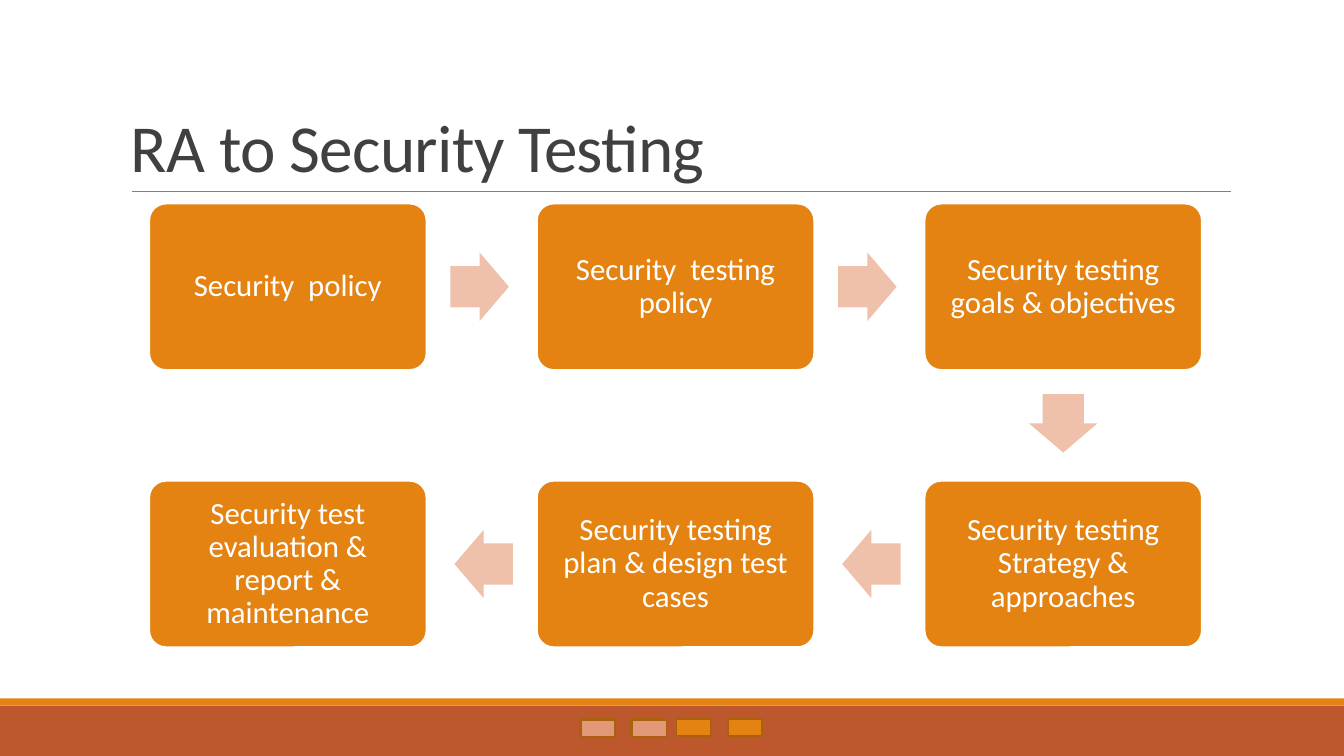
from pptx import Presentation
from pptx.dml.color import RGBColor
from pptx.enum import shapes, text
from pptx.oxml.ns import qn
from pptx.util import Inches, Pt
from lxml import etree

TITLE = "RA to Security Testing"
# step text, column, row, in the order of the flow
STEPS = [
    ("Security  policy", 0, 0),
    ("Security  testing policy", 1, 0),
    ("Security testing goals & objectives", 2, 0),
    ("Security testing Strategy & approaches", 2, 1),
    ("Security testing plan & design test cases", 1, 1),
    ("Security test evaluation & report & maintenance", 0, 1),
]
# left, top, colour name
MARKERS = [(x, 7.13, "orange") for x in (5.75, 6.26, 6.71, 7.22)]
MARKERS += [(x, 7.14, "salmon") for x in (5.76, 6.27)]

THEME = {
    "font": "Calibri", "title_size": 48, "step_size": 22,
    "orange": "E48312", "rust": "BD582C", "brown": "A9610D",
    "salmon": "E09878", "peach": "EFC1AB", "white": "FFFFFF",
    "ink": "404040", "rule": "808080",
}

STEP_W, STEP_H = 2.75, 1.65
FIRST_X, FIRST_Y = 1.48, 2.02
PITCH_X, PITCH_Y = 3.845, 2.75
ARROW_W, ARROW_H = 0.58, 0.68
ARROW_SHIFT = 0.02  # arrows sit slightly nearer the step they leave
ROTATION = {(1, 0): 0, (0, 1): 90, (-1, 0): 180}

KIND = shapes.MSO_SHAPE


def colour(name):
    return RGBColor.from_string(THEME[name])


def add_block(slide, kind, box, fill, line=None, adjustments=()):
    block = slide.shapes.add_shape(kind, *map(Inches, box))
    block.shadow.inherit = False
    block.fill.solid()
    block.fill.fore_color.rgb = colour(fill)
    if line:
        block.line.color.rgb = colour(line)
        block.line.width = Pt(1.25)
    else:
        block.line.fill.background()
    for i, value in enumerate(adjustments):
        block.adjustments[i] = value
    return block


def write(frame, words, size, ink, spacing, margin, anchor, align):
    frame_format = {"word_wrap": True, "vertical_anchor": anchor}
    for side, inset in zip(("left", "right", "top", "bottom"), margin):
        frame_format[f"margin_{side}"] = Inches(inset)
    for key, value in frame_format.items():
        setattr(frame, key, value)
    paragraph = frame.paragraphs[0]
    paragraph.alignment = align
    paragraph.line_spacing = spacing
    run = paragraph.add_run()
    run.text = words
    for key, value in {"name": THEME["font"], "size": Pt(THEME[size])}.items():
        setattr(run.font, key, value)
    run.font.color.rgb = colour(ink)
    return run


def add_frame(slide):
    """Footer bands, title rule and title."""
    add_block(slide, KIND.RECTANGLE, (0, 7, 13.33, 0.5), "rust")
    add_block(slide, KIND.RECTANGLE, (0, 6.93, 13.33, 0.07), "orange")
    rule = slide.shapes.add_connector(
        shapes.MSO_CONNECTOR.STRAIGHT, *map(Inches, (1.31, 1.9, 12.21, 1.9)))
    rule.line.color.rgb = colour("rule")
    rule.line.width = Pt(0.5)
    etree.SubElement(rule._element.spPr, qn("a:effectLst"))
    title = slide.shapes.add_textbox(*map(Inches, (1.2, 0.31, 11, 1.59)))
    run = write(title.text_frame, TITLE, "title_size", "ink", 0.85,
                (0.1, 0.1, 0.05, 0.05), text.MSO_ANCHOR.BOTTOM,
                text.PP_ALIGN.LEFT)
    run._r.get_or_add_rPr().set("spc", "-50")


def add_step(slide, words, column, row):
    box = (FIRST_X + column * PITCH_X, FIRST_Y + row * PITCH_Y, STEP_W, STEP_H)
    step = add_block(slide, KIND.ROUNDED_RECTANGLE, box, "orange", "white", [0.1])
    write(step.text_frame, words, "step_size", "white", 0.9, (0.14,) * 4,
          text.MSO_ANCHOR.MIDDLE, text.PP_ALIGN.CENTER)


def add_arrow(slide, start, end):
    """Arrow in the gap between two neighbouring grid cells."""
    dx, dy = end[0] - start[0], end[1] - start[1]
    x = FIRST_X + STEP_W / 2 + (start[0] + dx / 2) * PITCH_X - dx * ARROW_SHIFT
    y = FIRST_Y + STEP_H / 2 + (start[1] + dy / 2) * PITCH_Y - dy * ARROW_SHIFT
    box = (x - ARROW_W / 2, y - ARROW_H / 2, ARROW_W, ARROW_H)
    arrow = add_block(slide, KIND.RIGHT_ARROW, box, "peach", None, [0.6, 0.5])
    arrow.rotation = ROTATION[dx, dy]


def main():
    deck = Presentation()
    deck.slide_width, deck.slide_height = Inches(13.33), Inches(7.5)
    slide = deck.slides.add_slide(deck.slide_layouts[6])
    add_frame(slide)
    for step in STEPS:
        add_step(slide, *step)
    for here, following in zip(STEPS, STEPS[1:]):
        add_arrow(slide, here[1:], following[1:])
    for left, top, fill in MARKERS:
        add_block(slide, KIND.RECTANGLE, (left, top, 0.34, 0.17), fill, "brown")
    deck.save("out.pptx")


if __name__ == "__main__":
    main()
